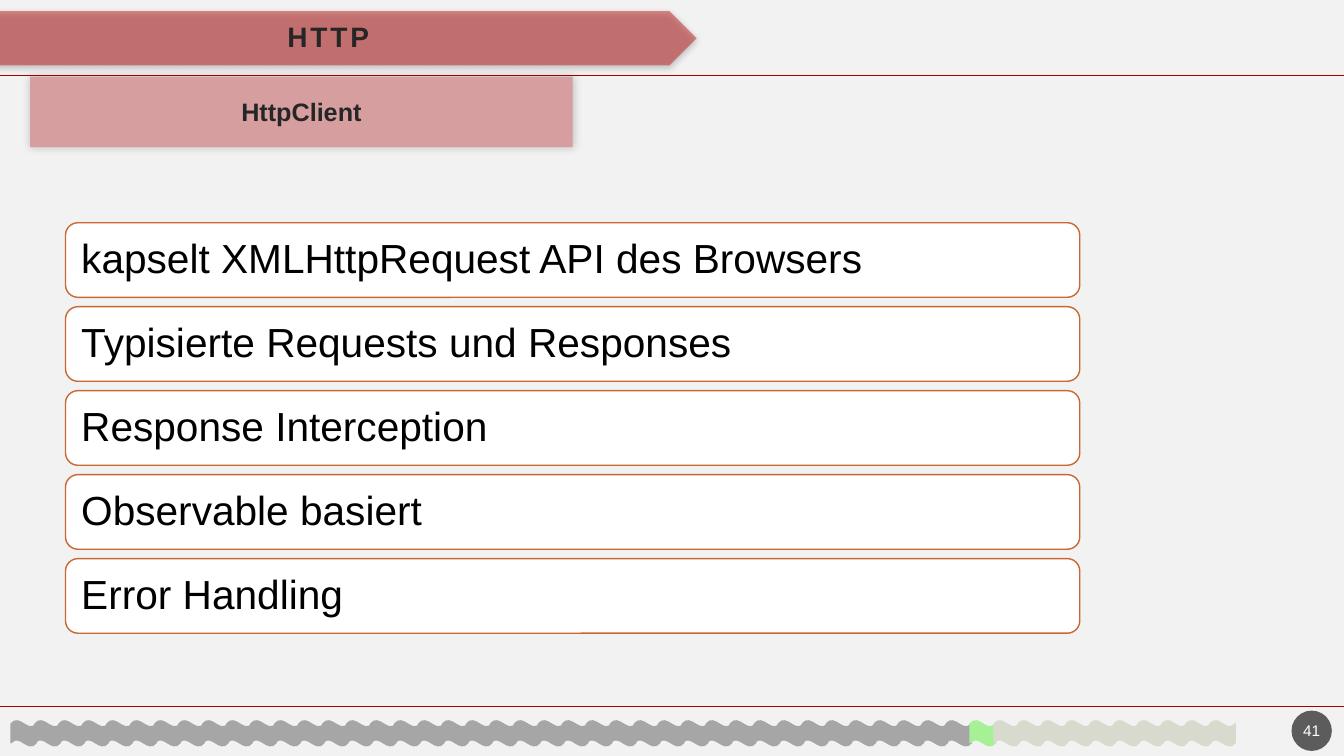
from dataclasses import dataclass

from lxml.etree import SubElement
from pptx import Presentation
from pptx.dml.color import RGBColor
from pptx.enum.shapes import MSO_CONNECTOR as Connector, MSO_SHAPE as Shape
from pptx.enum.text import MSO_ANCHOR as Anchor, MSO_AUTO_SIZE as AutoSize, PP_ALIGN as Align
from pptx.oxml.ns import qn
from pptx.util import Inches, Pt


@dataclass(frozen=True)
class Theme:
    font: str = "Arial"
    background: str = "F2F2F2"
    rule: str = "A40000"
    banner: str = "C00000"
    subtitle_fill: str = "D69E9E"
    heading: str = "262626"
    card_fill: str = "FFFFFF"
    card_line: str = "C96731"
    card_text: str = "000000"
    badge: str = "1D1D1D"
    badge_text: str = "FFFFFF"
    done: str = "A6A6A6"
    current: str = "A6F195"
    pending: str = "D7DACD"
    title_size: int = 20
    subtitle_size: int = 18
    card_size: int = 29
    badge_size: int = 11


theme = Theme()


def paint(shape, fill, line=None, alpha=None, shadow=None):
    """Set fill, outline, opacity in percent and shadow (opacity, blur, distance, angle)."""
    shape.shadow.inherit = False
    shape.fill.solid()
    shape.fill.fore_color.rgb = RGBColor.from_string(fill)
    if line:
        shape.line.color.rgb = RGBColor.from_string(line)
        shape.line.width = Pt(1)
    else:
        shape.line.fill.background()
    properties = shape._element.spPr
    if alpha:
        color = properties.find(qn("a:solidFill"))[0]
        SubElement(color, qn("a:alpha"), val=str(alpha * 1000))
    if shadow:
        opacity, blur, distance, angle = shadow
        outer = SubElement(properties.find(qn("a:effectLst")), qn("a:outerShdw"),
                           blurRad=str(Pt(blur)), dist=str(Pt(distance)),
                           dir=str(angle * 60000), algn="ctr", rotWithShape="0")
        color = SubElement(outer, qn("a:srgbClr"), val="000000")
        SubElement(color, qn("a:alpha"), val=str(opacity * 1000))


def write(shape, text, size, color, align=Align.CENTER, bold=False, inset=(0.1, 0.05), spacing=1.0):
    """Write one vertically centred paragraph and return its run."""
    frame = shape.text_frame
    frame.word_wrap = True
    frame.auto_size = AutoSize.NONE
    frame.vertical_anchor = Anchor.MIDDLE
    frame.margin_left = frame.margin_right = Inches(inset[0])
    frame.margin_top = frame.margin_bottom = Inches(inset[1])
    para = frame.paragraphs[0]
    para.alignment = align
    para.line_spacing = spacing
    para.space_before = Pt(0)
    span = para.add_run()
    span.text = text
    span.font.name = theme.font
    span.font.size = Pt(size)
    span.font.bold = bold
    span.font.color.rgb = RGBColor.from_string(color)
    return span


# Deck and page
deck = Presentation()
deck.slide_width, deck.slide_height = Inches(13.33), Inches(7.5)
page = deck.slides.add_slide(deck.slide_layouts[2])
page.background.fill.solid()
page.background.fill.fore_color.rgb = RGBColor.from_string(theme.background)
title, subtitle = page.placeholders

# Rules below the header and above the footer
for y, width in ((0.75, 1), (7.01, 0.75)):
    rule = page.shapes.add_connector(Connector.STRAIGHT, 0, Inches(y), deck.slide_width, Inches(y))
    rule.line.color.rgb = RGBColor.from_string(theme.rule)
    rule.line.width = Pt(width)
    SubElement(rule._element.spPr, qn("a:effectLst"))
    title._element.addprevious(rule._element)

# Banner behind the title
banner = page.shapes.add_shape(Shape.PENTAGON, Inches(-0.08), Inches(0.11), Inches(6.99), Inches(0.54))
paint(banner, theme.banner, alpha=43, shadow=(45, 4.4, 1.2, 90))
title._element.addprevious(banner._element)

# Title
title.left, title.top, title.width, title.height = 0, Inches(0.11), Inches(6.51), Inches(0.54)
heading = write(title, "HTTP", theme.title_size, theme.heading, bold=True, inset=(0.2, 0.2), spacing=0.9)
heading.font._element.set("spc", "200")

# Subtitle
subtitle.left, subtitle.top = Inches(0.3), Inches(0.76)
subtitle.width, subtitle.height = Inches(5.38), Inches(0.7)
paint(subtitle, theme.subtitle_fill, shadow=(20, 6, 0, 225))
write(subtitle, "HttpClient", theme.subtitle_size, theme.heading, bold=True)

# Page number
badge = page.shapes.add_shape(Shape.OVAL, Inches(12.81), Inches(7.05), Inches(0.4), Inches(0.4))
paint(badge, theme.badge, alpha=70)
write(badge, "41", theme.badge_size, theme.badge_text, inset=(0.02, 0.05))

# Feature cards
features = (
    "kapselt XMLHttpRequest API des Browsers",
    "Typisierte Requests und Responses",
    "Response Interception",
    "Observable basiert",
    "Error Handling",
)
card_top, card_pitch = 2.21, 0.833
for row, feature in enumerate(features):
    card = page.shapes.add_shape(Shape.ROUNDED_RECTANGLE, Inches(0.65), Inches(card_top + row * card_pitch),
                                 Inches(10.06), Inches(0.74))
    paint(card, theme.card_fill, line=theme.card_line)
    write(card, feature, theme.card_size, theme.card_text, align=Align.LEFT, inset=(0.12, 0.1), spacing=0.9)

# Progress bar of waves
wave_count, current_wave = 51, 40
wave_left, wave_pitch, wave_size = 0.11, 0.2378, 0.25
for column in range(wave_count):
    if column < current_wave:
        color = theme.done
    elif column == current_wave:
        color = theme.current
    else:
        color = theme.pending
    wave = page.shapes.add_shape(Shape.WAVE, Inches(wave_left + column * wave_pitch), Inches(7.15),
                                 Inches(wave_size), Inches(wave_size))
    paint(wave, color, line=color)

deck.save("out.pptx")
